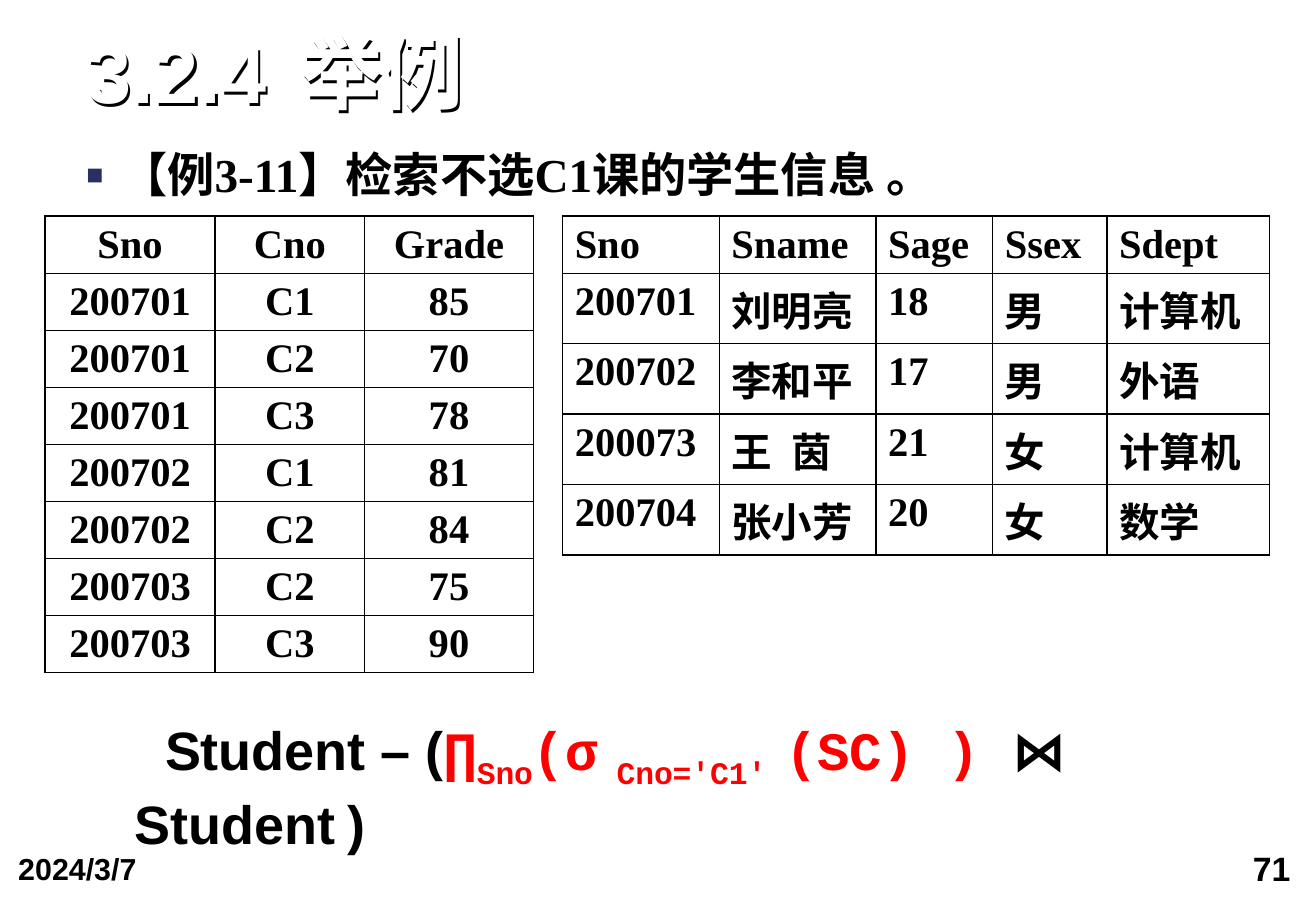
"""Build the slide for example 3-11, a relational algebra query on two tables."""
from lxml import etree
from pptx import Presentation
from pptx.dml.color import RGBColor
from pptx.enum.text import MSO_ANCHOR, MSO_AUTO_SIZE, PP_ALIGN
from pptx.oxml import parse_xml
from pptx.oxml.ns import nsdecls, qn
from pptx.util import Inches, Pt

LEFT, CENTER, RIGHT = PP_ALIGN.LEFT, PP_ALIGN.CENTER, PP_ALIGN.RIGHT
MIDDLE, BOTTOM = MSO_ANCHOR.MIDDLE, MSO_ANCHOR.BOTTOM
FIT_SHAPE = MSO_AUTO_SIZE.SHAPE_TO_FIT_TEXT
BLACK, WHITE, RED, NAVY = "000000", "FFFFFF", "FF0000", "27305F"
SANS, SERIF, MONO = "Arial", "Times New Roman", "Courier New"

COURSE_ROWS = [
    ["Sno", "Cno", "Grade"],
    ["200701", "C1", "85"],
    ["200701", "C2", "70"],
    ["200701", "C3", "78"],
    ["200702", "C1", "81"],
    ["200702", "C2", "84"],
    ["200703", "C2", "75"],
    ["200703", "C3", "90"],
]
STUDENT_ROWS = [
    ["Sno", "Sname", "Sage", "Ssex", "Sdept"],
    ["200701", "刘明亮", "18", "男", "计算机"],
    ["200702", "李和平", "17", "男", "外语"],
    ["200073", "王\t茵", "21", "女", "计算机"],
    ["200704", "张小芳", "20", "女", "数学"],
]


def color(value):
    return RGBColor.from_string(value)


class SlideBuilder:
    """Hold the text style and the page, and add elements to it."""

    style = {"name": SANS, "size": Pt(24), "bold": True}

    def __init__(self, page):
        self.page = page

    def span(self, para, text, ink=BLACK, baseline=0, **changes):
        span = para.add_run()
        span.text = text
        for key, value in {**self.style, **changes}.items():
            setattr(span.font, key, value)
        span.font.color.rgb = color(ink)
        if baseline:
            span._r.get_or_add_rPr().set("baseline", str(baseline * 1000))

    def text(self, left, top, width, height, margins=(0, 0), shadow=False,
             **frame_format):
        box = self.page.shapes.add_textbox(
            Inches(left), Inches(top), Inches(width), Inches(height))
        if shadow:
            self.shadow(box)
        frame = box.text_frame
        across, down = (Inches(margin) for margin in margins)
        values = {"word_wrap": True, "margin_left": across, "margin_right": across,
                  "margin_top": down, "margin_bottom": down, **frame_format}
        for key, value in values.items():
            setattr(frame, key, value)
        return frame.paragraphs[0]

    def indent(self, para, margin, first):
        properties = para._p.get_or_add_pPr()
        properties.set("marL", str(Inches(margin)))
        properties.set("indent", str(Inches(first)))
        return properties

    def bullet(self, para, mark, ink, percent):
        properties = self.indent(para, 0.28, -0.28)
        tint = etree.SubElement(properties, qn("a:buClr"))
        etree.SubElement(tint, qn("a:srgbClr"), val=ink)
        etree.SubElement(properties, qn("a:buSzPct"), val=str(percent * 1000))
        etree.SubElement(properties, qn("a:buFont"), typeface=SANS)
        etree.SubElement(properties, qn("a:buChar"), char=mark)

    def tab(self, para, position):
        stops = etree.SubElement(para._p.get_or_add_pPr(), qn("a:tabLst"))
        etree.SubElement(stops, qn("a:tab"), pos=str(Inches(position)), algn="l")

    def shadow(self, box):
        box._element.spPr.append(parse_xml(
            f'<a:effectLst {nsdecls("a")}><a:outerShdw blurRad="0" dist="{Pt(2)}" '
            f'dir="2700000" algn="ctr" rotWithShape="0"><a:srgbClr val="{BLACK}"/>'
            f'</a:outerShdw></a:effectLst>'))

    def borders(self, cell):
        properties = cell._tc.get_or_add_tcPr()
        for side in ("lnL", "lnR", "lnT", "lnB"):
            properties.append(parse_xml(
                f'<a:{side} {nsdecls("a")} w="{Pt(1)}"><a:solidFill>'
                f'<a:srgbClr val="{BLACK}"/></a:solidFill></a:{side}>'))

    def table(self, left, top, widths, header_height, row_height, rows, align):
        heights = [header_height] + [row_height] * (len(rows) - 1)
        table = self.page.shapes.add_table(
            len(rows), len(widths), Inches(left), Inches(top),
            Inches(sum(widths)), Inches(sum(heights))).table
        table.first_row = table.horz_banding = False
        for column, width in zip(table.columns, widths):
            column.width = Inches(width)
        for row, height, values in zip(table.rows, heights, rows):
            row.height = Inches(height)
            for cell, value in zip(row.cells, values):
                self.borders(cell)
                cell.fill.background()
                cell.margin_bottom = Inches(0.01)
                para = cell.text_frame.paragraphs[0]
                para.alignment = align
                if "\t" in value:
                    self.tab(para, 0.49)
                self.span(para, value, name=SERIF)


def main():
    deck = Presentation()
    deck.slide_width, deck.slide_height = Inches(10.83), Inches(7.5)
    page = deck.slides.add_slide(deck.slide_layouts[6])
    page.background.fill.solid()
    page.background.fill.fore_color.rgb = color(WHITE)
    builder = SlideBuilder(page)

    number = builder.text(8.01, 6.92, 2.74, 0.58, (0.13, 0.06))
    number.alignment = RIGHT
    builder.span(number, "71", size=Pt(20))
    date = builder.text(0.02, 6.94, 2.51, 0.63, (0.13, 0.06))
    builder.span(date, "2024/3/7", size=Pt(18))

    title = builder.text(0.71, 0.28, 9.65, 0.72, shadow=True, vertical_anchor=BOTTOM)
    builder.tab(title, 1.77)
    title.line_spacing = 0.9
    builder.span(title, "3.2.4\t举例", WHITE, size=Pt(48))

    example = builder.text(0.71, 1.25, 9.65, 0.42, auto_size=FIT_SHAPE)
    builder.bullet(example, "■", NAVY, 60)
    example.line_spacing = 0.9
    builder.span(example, "【例3-11】检索不选C1课的学生信息 。", name=SERIF, size=Pt(28))

    builder.table(0.37, 1.78, [1.4, 1.23, 1.39], 0.47, 0.47, COURSE_ROWS, CENTER)
    builder.table(4.63, 1.78, [1.29, 1.29, 0.96, 0.94, 1.34], 0.47, 0.58,
                  STUDENT_ROWS, LEFT)

    formula = builder.text(1.01, 6.15, 9.43, 0.64, (0.1, 0.05),
                           vertical_anchor=MIDDLE)
    builder.indent(formula, 0, 0.25)
    large = {"size": Pt(32)}
    code = {"name": MONO, "ink": RED, **large}
    for text, values in [
        ("Student – (", large),
        ("∏", code),
        ("Sno", {"baseline": -25, **code}),
        ("(σ", code),
        (" Cno='C1' ", {"baseline": -25, **code}),
        ("(SC) ) ", code),
        ("⋈ Student", large),
        (" ", {}),
        (")", large),
    ]:
        builder.span(formula, text, **values)

    deck.save("out.pptx")


if __name__ == "__main__":
    main()
